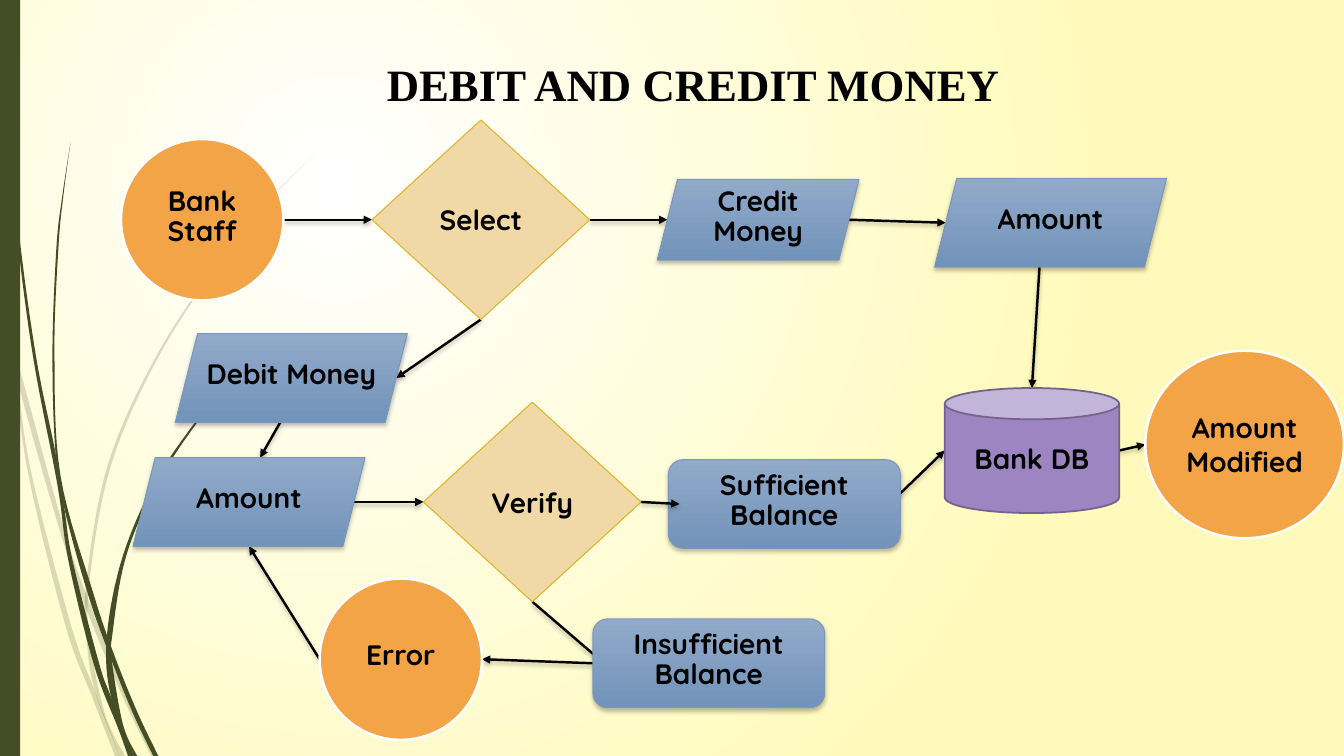
import dataclasses

import pptx
import pptx.dml.color
import pptx.enum.shapes
import pptx.enum.text
import pptx.oxml
import pptx.oxml.ns
import pptx.util

SHAPES = pptx.enum.shapes.MSO_SHAPE
ANCHORS = pptx.enum.text.MSO_ANCHOR
CELL = pptx.util.Inches(0.1)  # the grid has 133.3 columns and 75 rows
COLUMNS, ROWS = 133.3, 75
TINY = (0.1, 0.1, 0.1, 0.6)  # left, top, right and bottom insets
NORMAL = (1, 0.5, 1, 0.5)


@dataclasses.dataclass(frozen=True)
class Theme:
    ink: str = "000000"
    olive: str = "444D26"
    paper: tuple = ("FFFFFF", "FFFABB")
    title_font: str = "Times New Roman"
    label_font: str = "Quicksand"
    title_size: float = 32
    label_size: float = 20
    arrow_width: float = 1.75
    faint: int = 20


@dataclasses.dataclass(frozen=True)
class Kind:
    """Look shared by all nodes of one sort."""
    preset: object
    fill: tuple
    line: str
    line_width: float
    raised: bool = False


CIRCLE = Kind(SHAPES.OVAL, ("F3A447",), "FFFFFF", 1.75)
CHOICE = Kind(SHAPES.DIAMOND, ("F1D9A7",), "DDB427", 0.75)
STORE = Kind(SHAPES.CAN, ("9C85C0",), "73628E", 1.25)
DATA = Kind(SHAPES.PARALLELOGRAM, ("91AAC9", "7293BA"), "7A97B9", 0.75, True)
RESULT = dataclasses.replace(DATA, preset=SHAPES.ROUNDED_RECTANGLE)

# Nodes: kind, label, left, top, width, height, insets
NODES = {
    "staff": (CIRCLE, "Bank Staff", 12, 13.8, 16.1, 16, TINY),
    "credit": (DATA, "Credit Money", 65.2, 17.8, 20, 8, TINY),
    "debit": (DATA, "Debit Money", 17.4, 33.1, 23, 8.8, TINY),
    "select": (CHOICE, "Select", 36.9, 11.9, 21.6, 19.8, NORMAL),
    "database": (STORE, "Bank DB", 93.7, 38.5, 17.3, 12.4, NORMAL),
    "modified": (CIRCLE, "Amount Modified", 113.6, 34.8, 19.7, 18.6, NORMAL),
    "debit amount": (DATA, "Amount", 13.2, 45.4, 23, 8.8, TINY),
    "credit amount": (DATA, "Amount", 92.7, 17.7, 23, 8.8, TINY),
    "verify": (CHOICE, "Verify", 42, 39.9, 21.6, 19.8, NORMAL),
    "sufficient": (RESULT, "Sufficient Balance", 66.3, 45.6, 23, 8.8, TINY),
    "insufficient": (RESULT, "Insufficient Balance", 58.8, 61.4, 23, 8.8, TINY),
    "error": (CIRCLE, "Error", 31.7, 57.4, 16.1, 16, TINY),
}

# Sides: share of width, share of height, direction of the slant offset
SIDES = {
    "left": (0, 0.5, 1), "right": (1, 0.5, -1),
    "top": (0.5, 0, 1), "bottom": (0.5, 1, -1),
    "outer left": (0, 0.5, 0), "middle bottom": (0.5, 1, 0),
}

ARROWS_BEHIND = [
    ("staff", "right", "select", "left"),
    ("select", "right", "credit", "left"),
    ("select", "bottom", "debit", "right"),
    ("credit", "right", "credit amount", "left"),
    ("credit amount", "bottom", "database", "top"),
    ("database", "right", "modified", "left"),
    ("debit", "bottom", "debit amount", "top"),
    ("debit amount", "right", "verify", "left"),
    ("verify", "bottom", "insufficient", "left"),
    ("sufficient", "right", "database", "left"),
    ("insufficient", "outer left", "error", "right"),
    ("error", "left", "debit amount", "middle bottom"),
]
ARROW_IN_FRONT = ("verify", "right", "sufficient", "left")

# Grass blades: the left and the right edge of each, from tip to root
FAINT_BLADES = [
    ([(0, 29.9), (1.1, 35), (2.8, 47), (6.5, 62.1), (9.2, 69.3), (11.4, 75)],
     [(0, 28.2), (0.9, 32.2), (1.7, 37.6), (3.1, 46.9), (7, 61.9), (9.3, 68.3), (11.9, 75)]),
    ([(1.4, 34.5), (1.7, 37.6), (5.8, 52.2), (8.8, 61), (12.3, 69.4), (15, 75)],
     [(1.4, 34.5), (6.2, 52), (8.8, 59.6), (12.7, 69.2), (15.5, 75)]),
    ([(31.2, 15.3), (26.8, 19.7), (22.8, 24.4), (15.8, 34.8), (10.7, 46.1), (8.5, 58.4),
      (8.7, 64.6), (9.6, 69.2), (11.9, 75)],
     [(31.2, 15.3), (26.8, 19.8), (22.9, 24.5), (16, 34.9), (11, 46.2), (8.8, 58.4),
      (9.1, 64.6), (10.5, 71.1), (12.4, 75)]),
]
DARK_BLADES = [
    ([(0.3, 0), (0.7, 11), (1.7, 23.3), (3.3, 35.5), (5.7, 48.1), (6.8, 55.7),
      (9.3, 65.9), (11.7, 72.2), (12.7, 75)],
     [(0.4, 0), (0.8, 10.9), (1.9, 23.2), (3.6, 35.5), (5.5, 44.9), (6.4, 50.5),
      (7.2, 55.6), (9.8, 65.7), (11, 69.1), (13.3, 75)]),
    ([(7, 14.1), (6.2, 19.3), (5.6, 24.5), (5.2, 34.9), (5.5, 44.9), (6.4, 50.5),
      (8.8, 59.2), (11.1, 65.6), (13.2, 70.8), (15.2, 75)],
     [(7, 14.1), (6.3, 19.3), (5.8, 24.5), (5.4, 34.9), (6, 47.2), (9.3, 59),
      (11.3, 64.9), (13.6, 70.6), (15.7, 75)]),
    ([(26, 34.4), (23.1, 37.3), (20.4, 40.5), (15.6, 47.4), (12.2, 55.1), (10.6, 63.1),
      (11, 69.1), (13.3, 75)],
     [(26.1, 34.4), (23.1, 37.4), (20.5, 40.6), (15.8, 47.6), (12.5, 55.2), (11.1, 63.3),
      (11.1, 65.6), (12.2, 71.9), (13.6, 75)]),
]


def smooth(points, steps=8):
    """Run a Catmull-Rom curve through the points."""
    padded = [points[0], *points, points[-1]]
    curve = []
    for a, b, c, d in zip(padded, padded[1:], padded[2:], padded[3:]):
        for t in (step / steps for step in range(steps)):
            curve.append(tuple(
                q + t * (r - p) / 2 + t**2 * (2 * p - 5 * q + 4 * r - s) / 2
                + t**3 * (3 * q - p - 3 * r + s) / 2 for p, q, r, s in zip(a, b, c, d)))
    return curve + [points[-1]]


def cells(*values):
    return [pptx.util.Emu(round(value * CELL)) for value in values]


def rgb(code):
    return pptx.dml.color.RGBColor.from_string(code)


def element(markup):
    tag, rest = markup.split(maxsplit=1)
    return pptx.oxml.parse_xml(f"<a:{tag} {pptx.oxml.ns.nsdecls('a')} {rest}")


class Board:
    def __init__(self, slide, theme):
        self.slide, self.theme = slide, theme

    def paint(self, fill, colors):
        if len(colors) == 1:
            fill.solid()
            fill.fore_color.rgb = rgb(colors[0])
        else:
            fill.gradient()
            for stop, color in zip(fill.gradient_stops, colors):
                stop.color.rgb = rgb(color)

    def background(self):
        self.paint(self.slide.background.fill, self.theme.paper)
        gradient = next(self.slide._element.iter(pptx.oxml.ns.qn("a:gradFill")))
        gradient.replace(gradient.find(pptx.oxml.ns.qn("a:lin")), element(
            'path path="circle"><a:fillToRect l="50000" t="50000" r="100000" b="100000"/></a:path>'))

    def raise_up(self, shape):
        shape._element.spPr.append(element(
            'effectLst ><a:outerShdw blurRad="38100" dist="25400" dir="5400000" rotWithShape="0">'
            '<a:srgbClr val="000000"><a:alpha val="25000"/></a:srgbClr></a:outerShdw></a:effectLst>'))

    def plain(self, shape):
        shape.shadow.inherit = False
        self.paint(shape.fill, (self.theme.olive,))
        shape.line.fill.background()

    def blade(self, left_edge, right_edge, opacity=100):
        outline = [cells(*point) for point in smooth(left_edge) + smooth(right_edge)[::-1]]
        builder = self.slide.shapes.build_freeform(*outline[0])
        builder.add_line_segments(outline[1:], close=True)
        shape = builder.convert_to_shape()
        self.plain(shape)
        if opacity < 100:
            color = next(shape._element.spPr.iter(pptx.oxml.ns.qn("a:srgbClr")))
            color.append(element(f'alpha val="{opacity * 1000}"/>'))

    def side_bar(self, width):
        self.plain(self.slide.shapes.add_shape(SHAPES.RECTANGLE, *cells(0, 0, width, ROWS)))

    def label(self, shape, text, font, size, anchor, insets=NORMAL, spacing=1.0):
        frame = shape.text_frame
        frame.word_wrap = True
        frame.vertical_anchor = anchor
        (frame.margin_left, frame.margin_top,
         frame.margin_right, frame.margin_bottom) = cells(*insets)
        paragraph = frame.paragraphs[0]
        paragraph.alignment = pptx.enum.text.PP_ALIGN.CENTER
        paragraph.line_spacing = spacing
        run = paragraph.add_run()
        run.text = text
        run.font.name, run.font.size, run.font.bold = font, pptx.util.Pt(size), True
        run.font.color.rgb = rgb(self.theme.ink)

    def title(self, text, *box):
        shape = self.slide.shapes.add_textbox(*cells(*box))
        self.label(shape, text, self.theme.title_font, self.theme.title_size, ANCHORS.TOP)

    def node(self, kind, text, left, top, width, height, insets):
        shape = self.slide.shapes.add_shape(kind.preset, *cells(left, top, width, height))
        shape.shadow.inherit = False
        self.paint(shape.fill, kind.fill)
        shape.line.color.rgb = rgb(kind.line)
        shape.line.width = pptx.util.Pt(kind.line_width)
        if kind.raised:
            shape.fill.gradient_angle = 270
            shape._element.spPr.remove(shape._element.spPr.find(pptx.oxml.ns.qn("a:effectLst")))
            self.raise_up(shape)
        self.label(shape, text, self.theme.label_font, self.theme.label_size,
                   ANCHORS.MIDDLE, insets, 0.9 if insets == TINY else 1.0)

    def site(self, name, side):
        kind, _, left, top, width, height, _ = NODES[name]
        across, down, slant = SIDES[side]
        offset = slant * height / 8 if kind.raised else 0
        return cells(left + across * width + offset, top + down * height)

    def arrow(self, source, source_side, target, target_side):
        line = self.slide.shapes.add_connector(
            pptx.enum.shapes.MSO_CONNECTOR.STRAIGHT,
            *self.site(source, source_side), *self.site(target, target_side))
        line.line.color.rgb = rgb(self.theme.ink)
        line.line.width = pptx.util.Pt(self.theme.arrow_width)
        line.line._get_or_add_ln().append(element('tailEnd type="triangle"/>'))
        self.raise_up(line)


def main():
    presentation = pptx.Presentation()
    presentation.slide_width, presentation.slide_height = cells(COLUMNS, ROWS)
    board = Board(presentation.slides.add_slide(presentation.slide_layouts[6]), Theme())

    # Backdrop
    board.background()
    for edges in FAINT_BLADES:
        board.blade(*edges, board.theme.faint)
    for edges in DARK_BLADES:
        board.blade(*edges)
    board.side_bar(2)

    # Flow chart
    board.title("DEBIT AND CREDIT MONEY", 28.2, 5.1, 81.1, 9.3)
    for link in ARROWS_BEHIND:
        board.arrow(*link)
    for node in NODES.values():
        board.node(*node)
    board.arrow(*ARROW_IN_FRONT)

    presentation.save("out.pptx")


if __name__ == "__main__":
    main()
